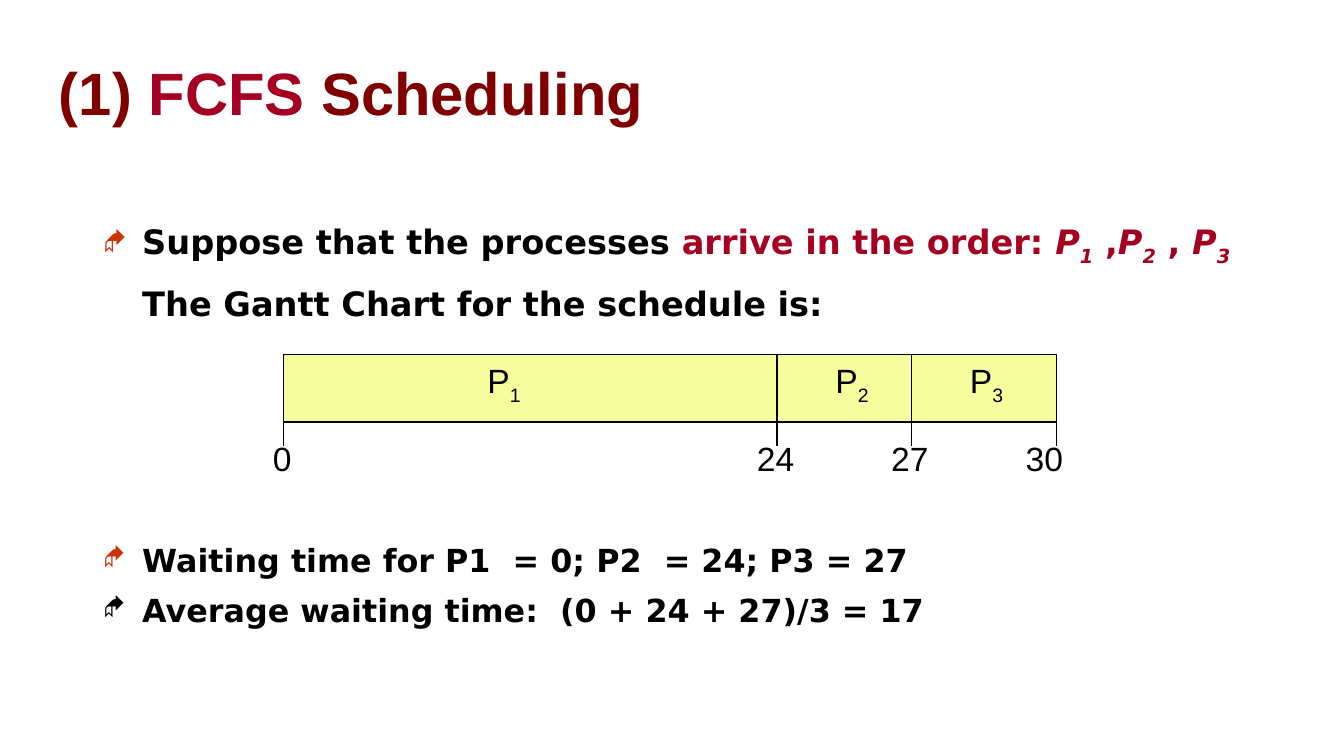
"""Build a slide that explains first-come, first-served scheduling."""
from dataclasses import dataclass
from typing import Optional

from lxml.etree import SubElement
from pptx import Presentation
from pptx.dml.color import RGBColor as Rgb
from pptx.enum.shapes import MSO_CONNECTOR as Connector, MSO_SHAPE as Shape
from pptx.enum.text import MSO_ANCHOR as Anchor, PP_ALIGN as Align
from pptx.oxml.ns import qn
from pptx.util import Inches, Pt


@dataclass(frozen=True)
class Theme:
    """Colours, fonts and type sizes of the slide."""
    maroon: str = "800000"
    crimson: str = "A50021"
    orange: str = "CC3300"
    black: str = "000000"
    bar: str = "F6FD9D"
    sans: str = "Arial"
    body: str = "DejaVu Sans"
    symbols: str = "Wingdings"
    title_size: float = 32
    text_size: float = 18
    result_size: float = 17
    line_width: float = 0.75


THEME = Theme()


@dataclass(frozen=True)
class Span:
    """A piece of text with one format."""
    text: str
    color: str = THEME.black
    italic: bool = False
    subscript: bool = False


@dataclass(frozen=True)
class Bullet:
    """A bulleted paragraph."""
    spans: list[Span]
    size: float
    color: str
    line_spacing: float = 1.4
    space_before: float = 0


@dataclass(frozen=True)
class Mark:
    """A time mark on the Gantt chart."""
    time: str
    x: float
    label_x: float


@dataclass(frozen=True)
class Process:
    """A process label on the Gantt chart."""
    number: str
    center: float


def process_spans(number: str) -> list[Span]:
    """Return an italic process name with its subscript."""
    return [Span("P", THEME.crimson, True), Span(number, THEME.crimson, True, True)]


TITLE = [Span("(1) ", THEME.maroon), Span("FCFS ", THEME.crimson),
         Span("Scheduling", THEME.maroon)]
BULLETS = [
    Bullet([Span("Suppose that the processes "),
            Span("arrive in the order: ", THEME.crimson),
            *process_spans("1"), Span(" ,", THEME.crimson),
            *process_spans("2"), Span(" , ", THEME.crimson),
            *process_spans("3"), Span(" The Gantt Chart for the schedule is:")],
           THEME.text_size, THEME.orange),
    Bullet([Span("Waiting time for P1  = 0; P2  = 24; P3 = 27")],
           THEME.result_size, THEME.orange, space_before=108.5),
    Bullet([Span("Average waiting time:  (0 + 24 + 27)/3 = 17")],
           THEME.result_size, THEME.black, 1.1, 4.2),
]
MARKS = [Mark("0", 2.11, 2.1), Mark("24", 5.78, 5.77),
         Mark("27", 6.78, 6.77), Mark("30", 7.86, 7.77)]
PROCESSES = [Process("1", 3.75), Process("2", 6.34), Process("3", 7.34)]
BAR_TOP, BAR_BOTTOM, TICK_BOTTOM = 2.64, 3.14, 3.32


def add_box(page, left: float, top: float, width: float, height: float,
            anchor: Anchor = Anchor.TOP, wrap: bool = True):
    """Add a text box and return its text frame."""
    box = page.shapes.add_textbox(Inches(left), Inches(top), Inches(width), Inches(height))
    box.text_frame.word_wrap = wrap
    box.text_frame.vertical_anchor = anchor
    return box.text_frame


def write_spans(para, spans: list[Span], font: str, size: float, bold: bool) -> None:
    """Write formatted spans into a paragraph."""
    for span in spans:
        run = para.add_run()
        run.text = span.text
        run.font.name, run.font.size = font, Pt(size)
        run.font.bold, run.font.italic = bold, span.italic
        run.font.color.rgb = Rgb.from_string(span.color)
        if span.subscript:
            run.font._element.set("baseline", "-25000")


def add_bullet(para, bullet: Bullet) -> None:
    """Turn a paragraph into a bulleted one."""
    properties = para._p.get_or_add_pPr()
    properties.set("marL", str(Inches(0.29)))
    properties.set("indent", str(Inches(-0.29)))
    color = SubElement(properties, qn("a:buClr"))
    SubElement(color, qn("a:srgbClr"), val=bullet.color)
    SubElement(properties, qn("a:buSzPct"), val="80000")
    SubElement(properties, qn("a:buFont"), typeface=THEME.symbols)
    SubElement(properties, qn("a:buChar"), char="◆")
    para.line_spacing = bullet.line_spacing
    if bullet.space_before:
        para.space_before = Pt(bullet.space_before)
    write_spans(para, bullet.spans, THEME.body, bullet.size, True)


def add_line(page, x: float, top: float, bottom: float) -> None:
    """Draw a vertical line."""
    line = page.shapes.add_connector(Connector.STRAIGHT, Inches(x), Inches(top),
                                     Inches(x), Inches(bottom))
    line.line.color.rgb = Rgb.from_string(THEME.black)
    line.line.width = Pt(THEME.line_width)
    SubElement(line._element.spPr, qn("a:effectLst"))


def add_label(page, center: float, top: float, height: float, text: str,
              subscript: Optional[str] = None) -> None:
    """Add a centred chart label."""
    width = 0.48
    frame = add_box(page, center - width / 2, top, width, height, Anchor.MIDDLE, False)
    para = frame.paragraphs[0]
    para.alignment = Align.CENTER
    spans = [Span(text)]
    if subscript:
        spans.append(Span(subscript, subscript=True))
    write_spans(para, spans, THEME.sans, THEME.text_size, False)


def add_gantt(page) -> None:
    """Draw the Gantt chart."""
    left, right = MARKS[0].x, MARKS[-1].x
    bar = page.shapes.add_shape(Shape.RECTANGLE, Inches(left), Inches(BAR_TOP),
                                Inches(right - left), Inches(BAR_BOTTOM - BAR_TOP))
    bar.shadow.inherit = False
    bar.fill.solid()
    bar.fill.fore_color.rgb = Rgb.from_string(THEME.bar)
    bar.line.color.rgb = Rgb.from_string(THEME.black)
    bar.line.width = Pt(THEME.line_width)
    for process in PROCESSES:
        add_label(page, process.center, 2.63, 0.44, "P", process.number)
    for mark in MARKS[1:-1]:
        add_line(page, mark.x, BAR_TOP, BAR_BOTTOM)
    for mark in MARKS:
        add_line(page, mark.x, BAR_BOTTOM, TICK_BOTTOM)
        add_label(page, mark.label_x, 3.21, 0.4, mark.time)


def main() -> None:
    """Build and save the deck."""
    deck = Presentation()
    deck.slide_width, deck.slide_height = Inches(10), Inches(10 * 9 / 16)
    page = deck.slides.add_slide(deck.slide_layouts[6])
    title = add_box(page, 0.34, 0.43, 9, 0.57, Anchor.BOTTOM)
    write_spans(title.paragraphs[0], TITLE, THEME.sans, THEME.title_size, True)
    body = add_box(page, 0.67, 1.46, 8.67, 4.16)
    for index, bullet in enumerate(BULLETS):
        add_bullet(body.add_paragraph() if index else body.paragraphs[0], bullet)
    add_gantt(page)
    deck.save("out.pptx")


if __name__ == "__main__":
    main()
